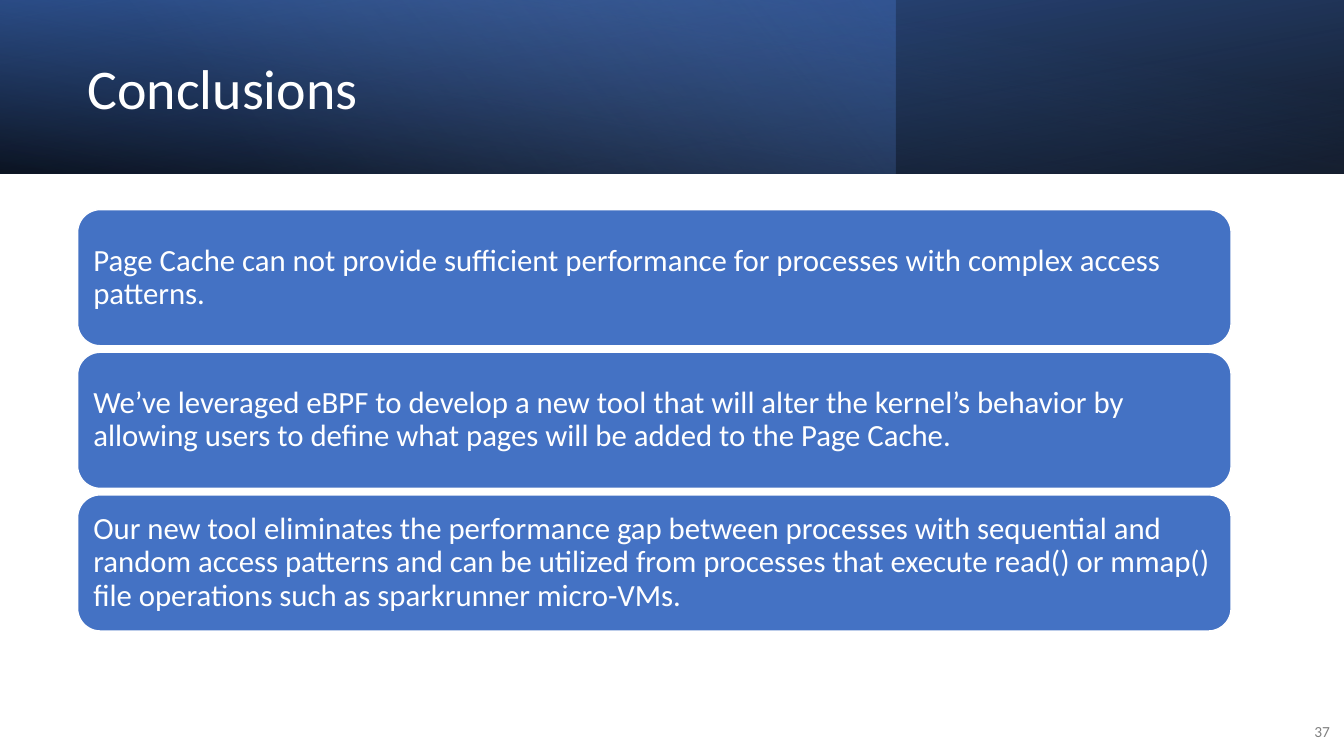
from lxml.etree import SubElement as Sub
from pptx import Presentation
from pptx.dml.color import RGBColor
from pptx.enum.shapes import MSO_SHAPE as Kind
from pptx.enum.text import MSO_ANCHOR as Anchor, PP_ALIGN as Align
from pptx.oxml.ns import qn
from pptx.util import Inches, Pt

# Content
TITLE = "Conclusions"
NUMBER = "37"
POINTS = [
    "Page Cache can not provide sufficient performance for processes with "
    "complex access patterns.",
    "We’ve leveraged eBPF to develop a new tool that will alter the kernel’s "
    "behavior by allowing users to define what pages will be added to the "
    "Page Cache.",
    "Our new tool eliminates the performance gap between processes with "
    "sequential and random access patterns and can be utilized from processes "
    "that execute read() or mmap() file operations such as sparkrunner "
    "micro-VMs.",
]

# Colours
WHITE = RGBColor(0xFF, 0xFF, 0xFF)
GREY = RGBColor(0x80, 0x80, 0x80)
BLACK = RGBColor(0, 0, 0)
BLUE = RGBColor(0x44, 0x72, 0xC4)
NAVY = RGBColor(0x2F, 0x55, 0x97)
PALE = RGBColor(0x8F, 0xAA, 0xDC)

# Grid, in inches
WIDE, HIGH = 13.33, 7.5
BAND = 1.72
LEFT, TOP = 0.77, 2.08
CARD_W, CARD_H, STEP = 11.44, 1.35, 1.415

# Band layers: share of width, turn, flip, angle, stops (place, colour, opacity)
LAYERS = [
    (1, 180, True, 100, [(0, BLACK, 96), (100, NAVY, 100)]),
    (2 / 3, 0, False, 140, [(0, BLUE, 41), (74, PALE, 0)]),
    (1, 0, True, 260, [(0, BLACK, 63), (78, BLUE, 15)]),
]

# Text formats
HEAD = {"size": Pt(40), "color": WHITE}
BODY = {"size": Pt(22), "color": WHITE}
FOOT = {"size": Pt(11), "color": GREY}

deck = Presentation()
deck.slide_width, deck.slide_height = Inches(WIDE), Inches(HIGH)
slide = deck.slides.add_slide(deck.slide_layouts[6])


def box(kind, *at):
    shape = slide.shapes.add_shape(kind, *map(Inches, at))
    shape.shadow.inherit = False
    return shape


def fade(shape, angle, stops):
    """Fill a shape with a linear gradient that has transparent stops."""
    shape.fill.background()
    props = shape._element.spPr
    old = props.find(qn("a:noFill"))
    grad = props.makeelement(qn("a:gradFill"), {"rotWithShape": "1"})
    props.replace(old, grad)
    steps = Sub(grad, qn("a:gsLst"))
    for place, tint, alpha in stops:
        stop = Sub(steps, qn("a:gs"), pos=str(place * 1000))
        color = Sub(stop, qn("a:srgbClr"), val=str(tint))
        Sub(color, qn("a:alpha"), val=str(alpha * 1000))
    Sub(grad, qn("a:lin"), ang=str(angle * 60000), scaled="0")


def write(shape, text, form, align=Align.LEFT, inset=0.1, spacing=0.9):
    frame = shape.text_frame
    pad = Inches(inset)
    for name, value in {"word_wrap": True, "vertical_anchor": Anchor.MIDDLE,
                        "margin_left": pad, "margin_right": pad,
                        "margin_top": Inches(0.05),
                        "margin_bottom": Inches(0.05)}.items():
        setattr(frame, name, value)
    para = frame.paragraphs[0]
    para.alignment, para.line_spacing = align, spacing
    run = para.add_run()
    run.text = text
    run.font.color.rgb = form["color"]
    for name, value in {"name": "Calibri", "size": form["size"]}.items():
        setattr(run.font, name, value)


# Title band
for share, turn, flip, angle, stops in LAYERS:
    layer = box(Kind.RECTANGLE, 0, 0, WIDE * share, BAND)
    layer.line.fill.background()
    layer.rotation = turn
    if flip:
        layer._element.spPr.xfrm.set("flipH", "1")
    fade(layer, angle, stops)

# Title and slide number
head = slide.shapes.add_textbox(*map(Inches, (LEFT, 0.27, 7.72, 1.27)))
write(head, TITLE, HEAD)
foot = slide.shapes.add_textbox(*map(Inches, (12.8, 7.06, 0.49, 0.4)))
write(foot, NUMBER, FOOT, Align.RIGHT, spacing=1.0)

# Conclusion cards
for row, point in enumerate(POINTS):
    card = box(Kind.ROUNDED_RECTANGLE, LEFT, TOP + row * STEP, CARD_W, CARD_H)
    card.fill.solid()
    card.fill.fore_color.rgb = BLUE
    card.line.color.rgb = WHITE
    card.line.width = Pt(1)
    write(card, point, BODY, inset=0.09)

deck.save("out.pptx")
